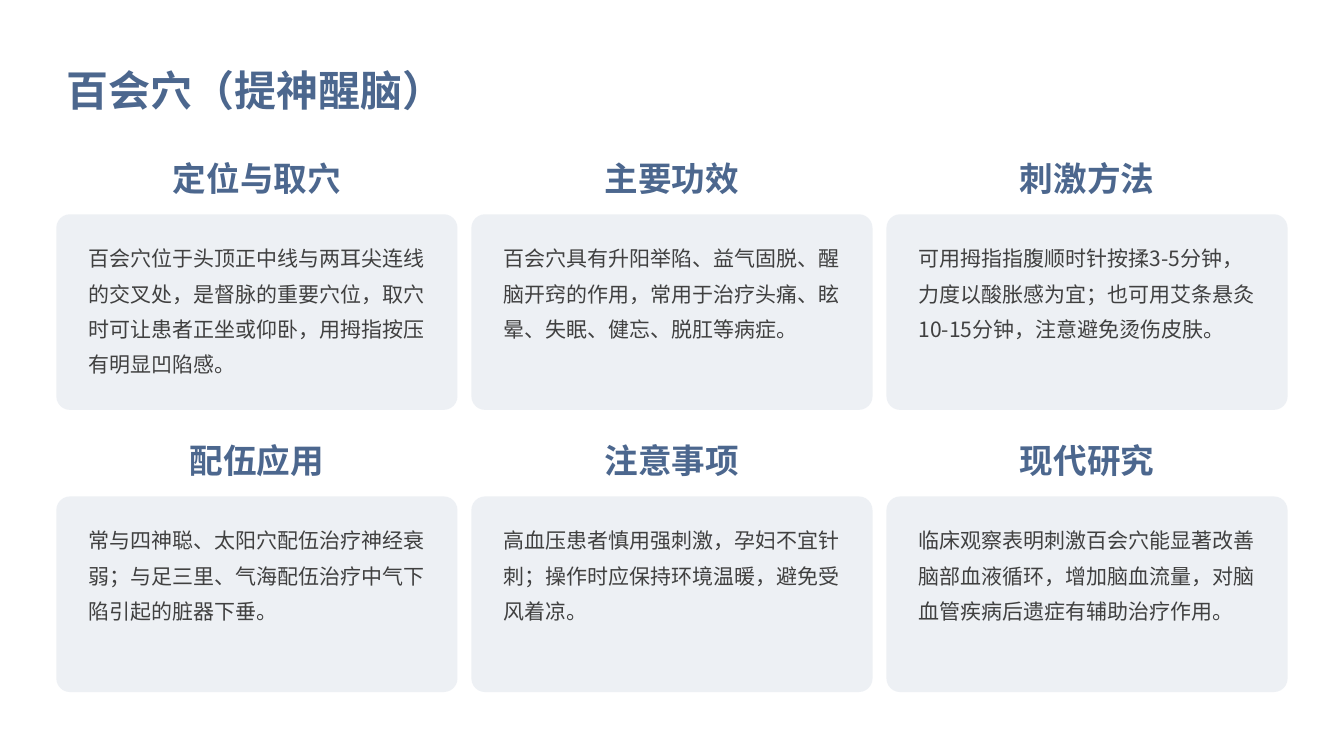
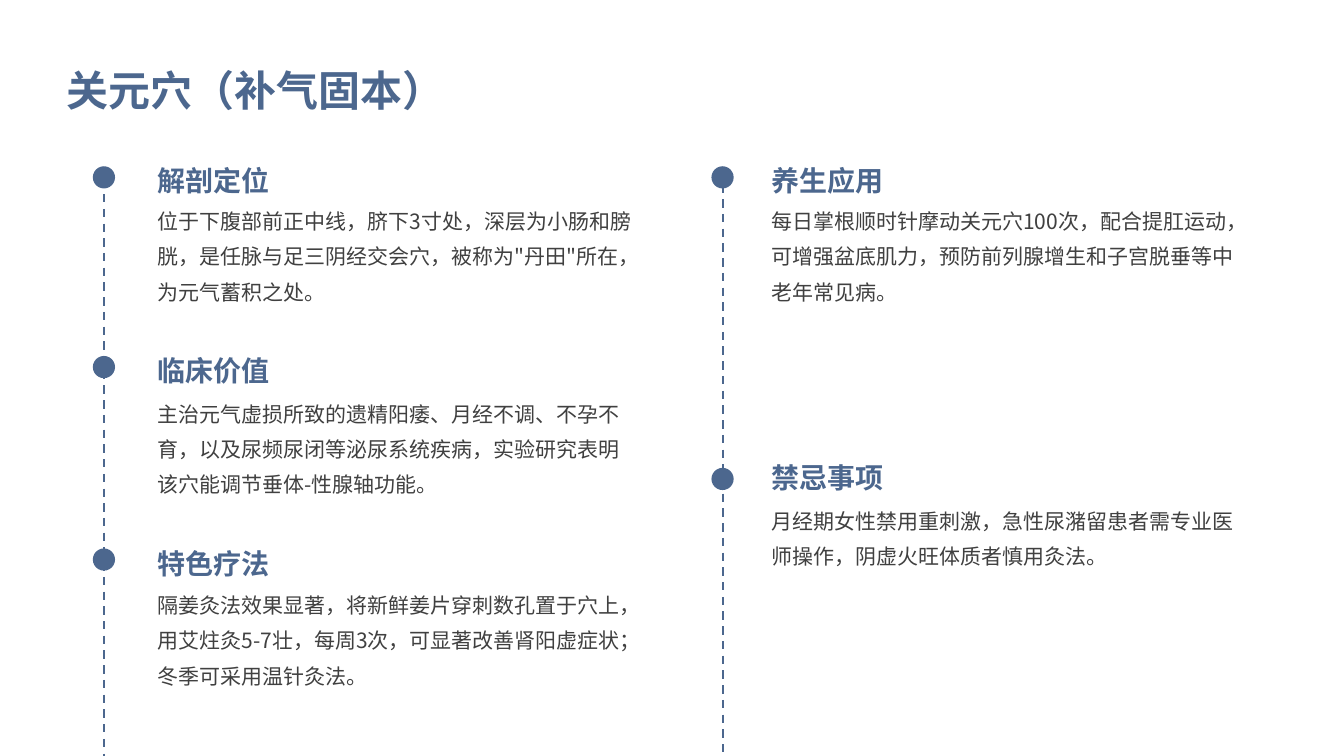
import pptx
import pptx.util
import pptx.dml.color
import pptx.enum.dml
import pptx.enum.shapes
import pptx.enum.text
import pptx.oxml
import pptx.oxml.ns

Cm = pptx.util.Cm
Pt = pptx.util.Pt
RGB = pptx.dml.color.RGBColor
SHAPE = pptx.enum.shapes.MSO_SHAPE
ANCHOR = pptx.enum.text.MSO_ANCHOR
ALIGN = pptx.enum.text.PP_ALIGN

BLUE = RGB(0x4C, 0x67, 0x8E)
PALE = RGB(0xE1, 0xE7, 0xEE)
GREY = RGB(0x40, 0x40, 0x40)
FONT = "Noto Sans CJK SC"
WIDE, HIGH = 33.87, 19.05
TITLE_PAD = (0.36, 0.36, 0.15, 0.36)

POINTS = [
    ("定位与取穴", "百会穴位于头顶正中线与两耳尖连线的交叉处，是督脉的重要穴位，取穴时可让患者正坐或仰卧，用拇指按压有明显凹陷感。"),
    ("主要功效", "百会穴具有升阳举陷、益气固脱、醒脑开窍的作用，常用于治疗头痛、眩晕、失眠、健忘、脱肛等病症。"),
    ("刺激方法", "可用拇指指腹顺时针按揉3-5分钟，力度以酸胀感为宜；也可用艾条悬灸10-15分钟，注意避免烫伤皮肤。"),
    ("配伍应用", "常与四神聪、太阳穴配伍治疗神经衰弱；与足三里、气海配伍治疗中气下陷引起的脏器下垂。"),
    ("注意事项", "高血压患者慎用强刺激，孕妇不宜针刺；操作时应保持环境温暖，避免受风着凉。"),
    ("现代研究", "临床观察表明刺激百会穴能显著改善脑部血液循环，增加脑血流量，对脑血管疾病后遗症有辅助治疗作用。"),
]

LEFT = [
    (4.19, 3.63, 5.0, "解剖定位", "位于下腹部前正中线，脐下3寸处，深层为小肠和膀胱，是任脉与足三阴经交会穴，被称为\"丹田\"所在，为元气蓄积之处。"),
    (8.97, 8.41, 9.86, "临床价值", "主治元气虚损所致的遗精阳痿、月经不调、不孕不育，以及尿频尿闭等泌尿系统疾病，实验研究表明该穴能调节垂体-性腺轴功能。"),
    (13.82, 13.26, 14.68, "特色疗法", "隔姜灸法效果显著，将新鲜姜片穿刺数孔置于穴上，用艾炷灸5-7壮，每周3次，可显著改善肾阳虚症状；冬季可采用温针灸法。"),
]
RIGHT = [
    (4.19, 3.63, 5.0, "养生应用", "每日掌根顺时针摩动关元穴100次，配合提肛运动，可增强盆底肌力，预防前列腺增生和子宫脱垂等中老年常见病。"),
    (11.79, 11.1, 12.55, "禁忌事项", "月经期女性禁用重刺激，急性尿潴留患者需专业医师操作，阴虚火旺体质者慎用灸法。"),
]


def write(slide, text, x, y, w, h, size=15, color=GREY, bold=False,
          align=ALIGN.LEFT, anchor=ANCHOR.TOP, space=1.4,
          pad=(0.25, 0.13, 0.25, 0.13)):
    box = slide.shapes.add_textbox(Cm(x), Cm(y), Cm(w), Cm(h))
    frame = box.text_frame
    frame.word_wrap = True
    frame.vertical_anchor = anchor
    (frame.margin_left, frame.margin_top,
     frame.margin_right, frame.margin_bottom) = map(Cm, pad)
    para = frame.paragraphs[0]
    para.alignment = align
    para.line_spacing = space
    run = para.add_run()
    run.text = text
    font = run.font
    font.size, font.bold, font.name = Pt(size), bold, FONT
    font.color.rgb = color
    asian = pptx.oxml.parse_xml(
        f'<a:ea {pptx.oxml.ns.nsdecls("a")} typeface="{FONT}"/>')
    run._r.get_or_add_rPr().find(pptx.oxml.ns.qn("a:latin")).addnext(asian)


def draw(slide, kind, x, y, w, h, color):
    shape = slide.shapes.add_shape(kind, Cm(x), Cm(y), Cm(w), Cm(h))
    shape.shadow.inherit = False
    shape.fill.solid()
    shape.fill.fore_color.rgb = color
    shape.line.fill.background()
    return shape


def page(deck, title):
    slide = deck.slides.add_slide(deck.slide_layouts[6])
    write(slide, title, 1.32, 0.74, 31.22, 2.54, size=30, color=BLUE,
          bold=True, anchor=ANCHOR.MIDDLE, pad=TITLE_PAD)
    return slide


def card(slide, x, y, w, h, head, body):
    top = 1.56
    write(slide, head, x, y, w, 1.4, size=24, color=BLUE, bold=True,
          align=ALIGN.CENTER, space=1.0)
    panel = draw(slide, SHAPE.ROUNDED_RECTANGLE, x, y + top, w, h - top, PALE)
    panel.adjustments[0] = 0.07
    tint = panel._element.spPr.find(
        pptx.oxml.ns.qn("a:solidFill")).find(pptx.oxml.ns.qn("a:srgbClr"))
    tint.append(pptx.oxml.parse_xml(
        f'<a:alpha {pptx.oxml.ns.nsdecls("a")} val="60000"/>'))
    write(slide, body, x + 0.63, y + top + 0.44, w - 1.27, h - top - 0.92,
          pad=(0.18, 0.1, 0.18, 0.1))


def grid(slide, x, y, items):
    for i, (head, body) in enumerate(items):
        row, col = divmod(i, 3)
        card(slide, x + col * 10.46, y + row * 7.11, 10.11, 6.49, head, body)


def track(slide, x, start, inset, items):
    line = slide.shapes.add_connector(
        pptx.enum.shapes.MSO_CONNECTOR.STRAIGHT,
        Cm(x), Cm(start), Cm(x), Cm(HIGH))
    line.line.color.rgb = BLUE
    line.line.width = Pt(1.5)
    line.line.dash_style = pptx.enum.dml.MSO_LINE.DASH
    line._element.spPr.append(pptx.oxml.parse_xml(
        f'<a:effectLst {pptx.oxml.ns.nsdecls("a")}/>'))
    size = 0.56
    for dot, top, base, head, body in items:
        draw(slide, SHAPE.OVAL, x - size / 2, dot, size, size, BLUE)
        write(slide, head, x + inset, top, 12.47, 1.68, size=20, color=BLUE,
              bold=True, anchor=ANCHOR.MIDDLE, space=1.2, pad=TITLE_PAD)
        write(slide, body, x + inset, base, 12.47, 3.2,
              pad=(0.36, 0, 0.15, 0))


def main():
    deck = pptx.Presentation()
    deck.slide_width, deck.slide_height = Cm(WIDE), Cm(HIGH)
    grid(page(deck, "百会穴（提神醒脑）"), 1.42, 3.84, POINTS)
    slide = page(deck, "关元穴（补气固本）")
    track(slide, 2.62, 4.52, 0.99, LEFT)
    track(slide, 18.21, 4.65, 0.87, RIGHT)
    deck.save("out.pptx")


if __name__ == "__main__":
    main()
